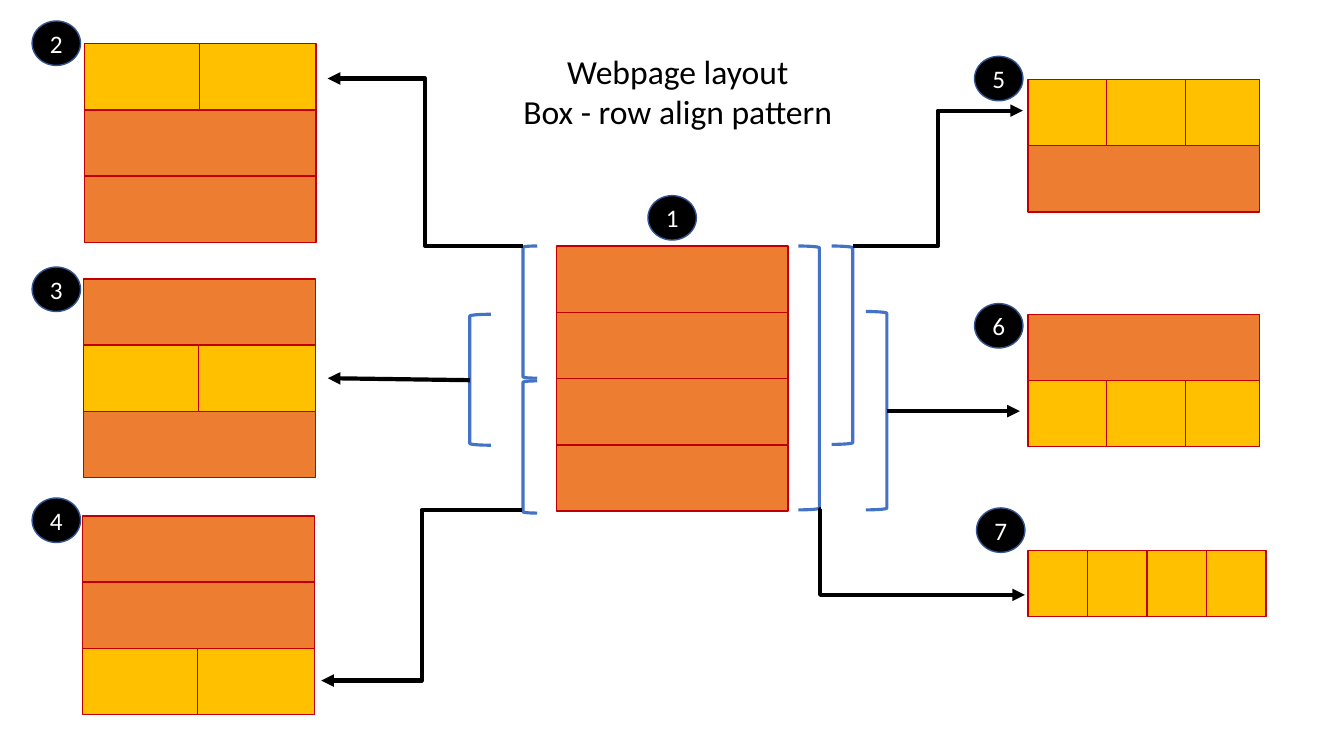
"""Build the slide that shows the box and row align patterns of a webpage layout."""
from dataclasses import dataclass

from lxml.etree import SubElement
from pptx import Presentation
from pptx.dml.color import RGBColor
from pptx.enum.shapes import MSO_CONNECTOR as CONN, MSO_SHAPE as SHAPE
from pptx.enum.text import MSO_ANCHOR as ANCHOR, PP_ALIGN as ALIGN
from pptx.oxml.ns import qn
from pptx.util import Cm, Pt

ORANGE, YELLOW, RED = "ED7D31", "FFC000", "C00000"
BLACK, WHITE, NAVY, BLUE = "000000", "FFFFFF", "325491", "4472C4"
ROW_H = 1.67
COLUMNS = {1: [5.84], 2: [2.9, 2.94], 3: [1.98, 1.98, 1.88], 4: [1.5] * 4}


@dataclass
class Block:
    number: int
    badge: tuple[float, float]
    left: float
    top: float
    rows: list[int]


@dataclass
class Bracket:
    kind: SHAPE
    left: float
    top: float
    width: float
    height: float


@dataclass
class Arrow:
    start: tuple[float, float]
    end: tuple[float, float]
    kind: CONN = CONN.ELBOW
    bend: int = 50000


BLOCKS = [
    Block(1, (16.33, 4.93), 14.02, 6.2, [1, 1, 1, 1]),
    Block(2, (0.81, 0.53), 2.13, 1.1, [2, 1, 1]),
    Block(3, (0.81, 6.73), 2.11, 7.03, [1, 2, 1]),
    Block(4, (0.81, 12.55), 2.08, 13, [1, 1, 2]),
    Block(5, (24.56, 1.42), 25.91, 2, [3, 1]),
    Block(6, (24.56, 7.65), 25.91, 7.92, [1, 3]),
    Block(7, (24.61, 12.8), 25.91, 13.87, [4]),
]
BRACKETS = [
    Bracket(SHAPE.LEFT_BRACKET, 13.18, 6.2, 0.36, 3.33),
    Bracket(SHAPE.LEFT_BRACKET, 13.18, 9.6, 0.36, 3.33),
    Bracket(SHAPE.LEFT_BRACKET, 11.84, 7.92, 0.53, 3.3),
    Bracket(SHAPE.RIGHT_BRACKET, 20.12, 6.2, 0.53, 6.65),
    Bracket(SHAPE.RIGHT_BRACKET, 20.96, 6.2, 0.53, 5),
    Bracket(SHAPE.RIGHT_BRACKET, 21.82, 7.85, 0.53, 5),
]
ARROWS = [
    Arrow((13.18, 6.2), (8.26, 1.98)),
    Arrow((13.16, 12.85), (8.1, 17.15)),
    Arrow((11.84, 9.58), (8.26, 9.53), CONN.STRAIGHT),
    Arrow((21.49, 6.2), (25.78, 2.79)),
    Arrow((22.35, 10.36), (25.7, 10.36), CONN.STRAIGHT),
    Arrow((20.68, 12.83), (25.83, 14.99), bend=-200),
]


def paint(fmt, color: str | None) -> None:
    if color is None:
        fmt.background()
    else:
        fmt.solid()
        fmt.fore_color.rgb = RGBColor.from_string(color)


def write(sp, text: str, *, size: float, color: str, wrap: bool = False) -> None:
    tf = sp.text_frame
    tf.text = text
    tf.word_wrap = wrap
    tf.vertical_anchor = ANCHOR.MIDDLE
    tf.margin_left = tf.margin_right = tf.margin_top = tf.margin_bottom = 0
    for p in tf.paragraphs:
        p.alignment = ALIGN.CENTER
        for r in p.runs:
            r.font.name, r.font.size = "Calibri", Pt(size)
            paint(r.font.fill, color)


def draw_shape(s, kind: SHAPE, left: float, top: float, width: float, height: float,
               *, fill: str | None, line: str, weight: float = 1):
    sp = s.shapes.add_shape(kind, Cm(left), Cm(top), Cm(width), Cm(height))
    sp.shadow.inherit = False
    paint(sp.fill, fill)
    paint(sp.line.fill, line)
    sp.line.width = Pt(weight)
    return sp


def draw_block(s, block: Block) -> None:
    for i, count in enumerate(block.rows):
        left = block.left
        for width in COLUMNS[count]:
            draw_shape(s, SHAPE.RECTANGLE, left, block.top + i * ROW_H, width, ROW_H,
                       fill=ORANGE if count == 1 else YELLOW, line=RED)
            left += width


def draw_badge(s, block: Block) -> None:
    sp = draw_shape(s, SHAPE.OVAL, *block.badge, 1.22, 1.12, fill=BLACK, line=NAVY)
    write(sp, str(block.number), size=18, color=WHITE)


def draw_bracket(s, b: Bracket) -> None:
    draw_shape(s, b.kind, b.left, b.top, b.width, b.height,
               fill=None, line=BLUE, weight=2.25)


def draw_arrow(s, arrow: Arrow) -> None:
    ends = [Cm(v) for v in arrow.start + arrow.end]
    cxn = s.shapes.add_connector(arrow.kind, *ends)
    paint(cxn.line.fill, BLACK)
    cxn.line.width = Pt(3)
    SubElement(cxn.line._get_or_add_ln(), qn("a:tailEnd"), type="triangle")
    sp_pr = cxn._element.spPr
    SubElement(sp_pr, qn("a:effectLst"))
    if arrow.kind == CONN.ELBOW:
        guides = sp_pr.find(qn("a:prstGeom")).get_or_add_avLst()
        SubElement(guides, qn("a:gd"), name="adj1", fmla=f"val {arrow.bend}")


def main() -> None:
    prs = Presentation()
    prs.slide_width, prs.slide_height = Cm(33.87), Cm(19.05)
    s = prs.slides.add_slide(prs.slide_layouts[5])
    title = s.shapes.title
    title.left, title.top, title.width, title.height = Cm(12.8), Cm(1.14), Cm(8.56), Cm(2.31)
    write(title, "Webpage layout\nBox - row align pattern", size=24, color=BLACK, wrap=True)
    for draw, items in ((draw_block, BLOCKS), (draw_badge, BLOCKS),
                        (draw_bracket, BRACKETS), (draw_arrow, ARROWS)):
        for item in items:
            draw(s, item)
    prs.save("out.pptx")


main()
